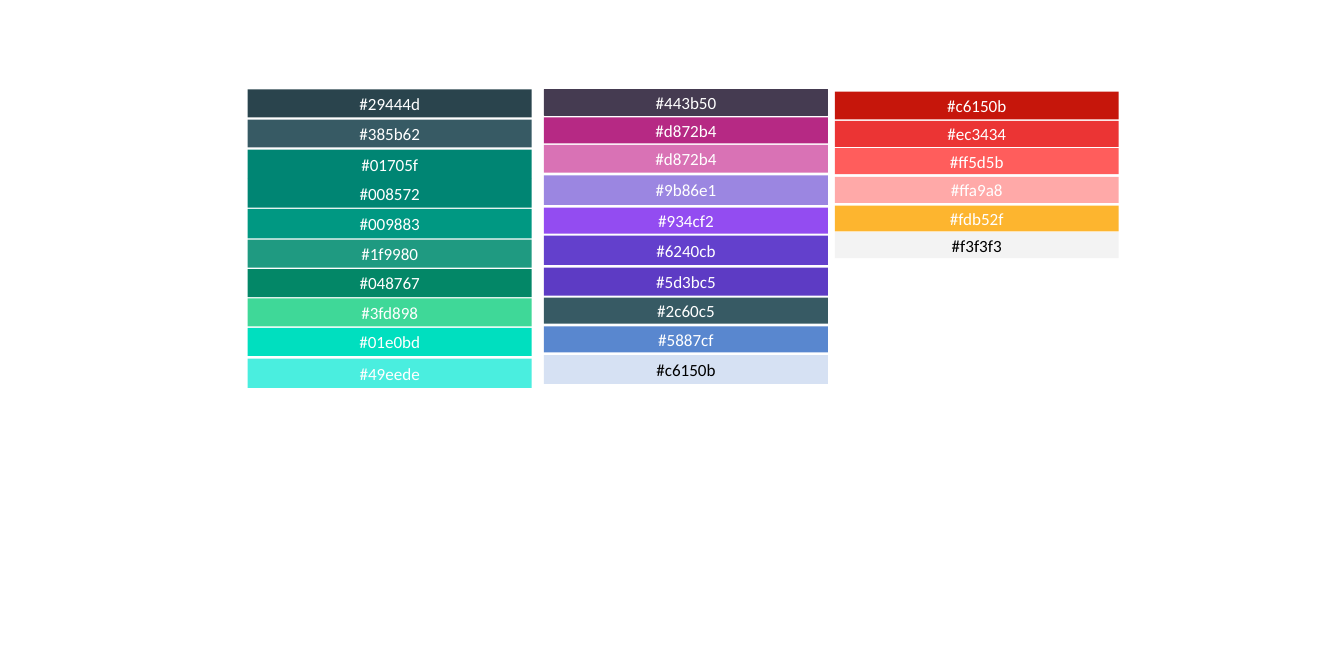
from dataclasses import dataclass

from pptx import Presentation
from pptx.dml.color import RGBColor
from pptx.enum.shapes import MSO_SHAPE
from pptx.enum.text import MSO_ANCHOR, PP_ALIGN
from pptx.util import Pt

RECTANGLE = MSO_SHAPE.RECTANGLE
MIDDLE = MSO_ANCHOR.MIDDLE
CENTER = PP_ALIGN.CENTER

PX = 9144  # 100 px to the inch
PAGE_WIDTH, PAGE_HEIGHT = 1969, 984
SWATCH_WIDTH = 416


@dataclass(frozen=True)
class Theme:
    font: str = "Calibri"
    label_size: int = 18
    outline_width: int = 1
    background: str = "FFFFFF"
    light_text: str = "FFFFFF"
    dark_text: str = "000000"
    pale_fills: tuple = ("D6E1F3", "F3F3F3")
    outlined_fills: tuple = ("453B51",)


THEME = Theme()

# Each swatch: label, fill, offset from the column top, height
GREENS = [
    ("#29444d", "2A444D", 0, 41),
    ("#385b62", "375A64", 44, 41),
    ("#01705f", "008573", 88, 43),
    ("#008572", "008573", 131, 42),
    ("#009883", "009882", 175, 43),
    ("#1f9980", "1F9A81", 220, 41),
    ("#048767", "038767", 263, 41),
    ("#3fd898", "3FD898", 306, 41),
    ("#01e0bd", "00DFBF", 349, 41),
    ("#49eede", "4AEEDF", 394, 43),
]
PURPLES = [
    ("#443b50", "453B51", 0, 38),
    ("#d872b4", "B62984", 41, 38),
    ("#d872b4", "D972B5", 81, 41),
    ("#9b86e1", "9B86E1", 126, 43),
    ("#934cf2", "934CF1", 173, 38),
    ("#6240cb", "6340CC", 214, 43),
    ("#5d3bc5", "5D3BC4", 261, 41),
    ("#2c60c5", "375A64", 305, 38),
    ("#5887cf", "5987CF", 347, 38),
    ("#c6150b", "D6E1F3", 389, 42),
]
REDS = [
    ("#c6150b", "C6160B", 0, 41),
    ("#ec3434", "EB3434", 43, 38),
    ("#ff5d5b", "FF5D5C", 83, 38),
    ("#ffa9a8", "FFA9A8", 125, 38),
    ("#fdb52f", "FDB52F", 167, 38),
    ("#f3f3f3", "F3F3F3", 206, 38),
]
# Each column: left, top, swatches
COLUMNS = [(363, 131, GREENS), (797, 131, PURPLES), (1223, 134, REDS)]


def set_values(target, values):
    for name, value in values.items():
        setattr(target, name, value)


def add_swatch(page, box, label, fill):
    swatch = page.shapes.add_shape(RECTANGLE, *(length * PX for length in box))
    swatch.shadow.inherit = False
    swatch.fill.solid()
    swatch.fill.fore_color.rgb = RGBColor.from_string(fill)

    # Outline
    if fill in THEME.outlined_fills:
        swatch.line.color.rgb = RGBColor.from_string(fill)
        swatch.line.width = Pt(THEME.outline_width)
    else:
        swatch.line.fill.background()

    # Label
    frame = swatch.text_frame
    set_values(frame, {
        "vertical_anchor": MIDDLE, "word_wrap": True,
        "margin_top": 0, "margin_bottom": 0,
    })
    para = frame.paragraphs[0]
    para.alignment = CENTER
    span = para.add_run()
    span.text = label
    set_values(span.font, {"name": THEME.font, "size": Pt(THEME.label_size)})
    color = THEME.dark_text if fill in THEME.pale_fills else THEME.light_text
    span.font.color.rgb = RGBColor.from_string(color)


def add_column(page, left, top, swatches):
    for label, fill, offset, height in swatches:
        add_swatch(page, (left, top + offset, SWATCH_WIDTH, height), label, fill)


def add_palette_page(deck):
    blank_layout = deck.slide_layouts[6]
    page = deck.slides.add_slide(blank_layout)
    page.background.fill.solid()
    page.background.fill.fore_color.rgb = RGBColor.from_string(THEME.background)
    for left, top, swatches in COLUMNS:
        add_column(page, left, top, swatches)


def main():
    deck = Presentation()
    set_values(deck, {
        "slide_width": PAGE_WIDTH * PX, "slide_height": PAGE_HEIGHT * PX,
    })
    add_palette_page(deck)
    deck.save("out.pptx")


if __name__ == "__main__":
    main()
